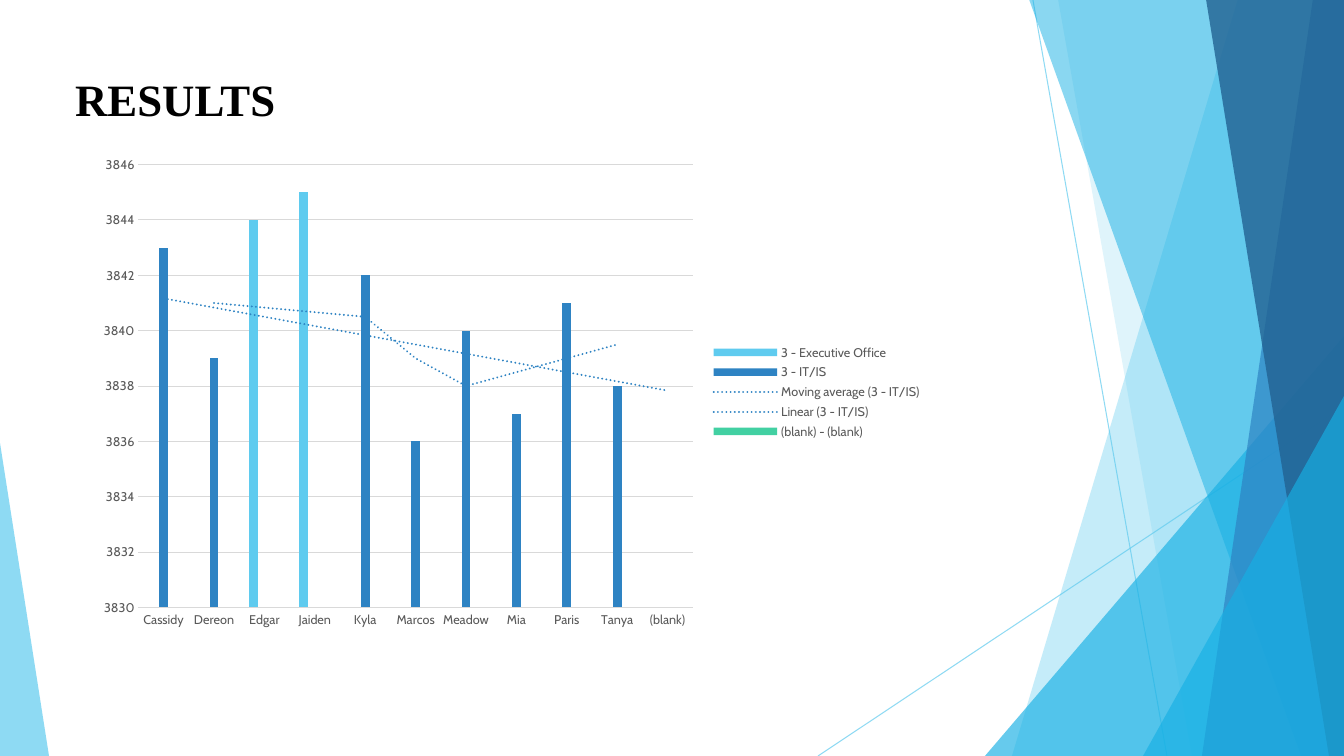
from lxml.etree import SubElement
from pptx import Presentation
from pptx.chart.data import CategoryChartData
from pptx.dml.color import RGBColor
from pptx.enum.chart import XL_CHART_TYPE, XL_LEGEND_POSITION, XL_TICK_MARK
from pptx.enum.shapes import MSO_CONNECTOR, MSO_SHAPE
from pptx.enum.text import MSO_ANCHOR, PP_ALIGN
from pptx.oxml import parse_xml
from pptx.oxml.ns import nsdecls, qn
from pptx.util import Pt

PX = 914400 / 100.8  # EMU in one px
WIDTH, HEIGHT = 1344, 756

BLACK = RGBColor(0x00, 0x00, 0x00)
SKY = RGBColor(0x5F, 0xCB, 0xEF)
CYAN = RGBColor(0x17, 0xB0, 0xE4)
BLUE = RGBColor(0x2E, 0x83, 0xC3)
NAVY = RGBColor(0x22, 0x62, 0x92)
GREEN = RGBColor(0x42, 0xD0, 0xA2)
LABEL_GRAY = RGBColor(0x59, 0x59, 0x59)
GRID_GRAY = RGBColor(0xD9, 0xD9, 0xD9)

NAMES = ["Cassidy", "Dereon", "Edgar", "Jaiden", "Kyla", "Marcos",
         "Meadow", "Mia", "Paris", "Tanya", "(blank)"]
SERIES = [
    ("3 - Executive Office", SKY, {"Edgar": 3844, "Jaiden": 3845}),
    ("3 - IT/IS", BLUE, {"Cassidy": 3843, "Dereon": 3839, "Kyla": 3842,
                         "Marcos": 3836, "Meadow": 3840, "Mia": 3837,
                         "Paris": 3841, "Tanya": 3838}),
    ("(blank) - (blank)", GREEN, {}),
]


def emu(*lengths):
    return [round(length * PX) for length in lengths]


def set_opacity(fill_format_parent, percent):
    color = fill_format_parent.find(".//" + qn("a:srgbClr"))
    SubElement(color, qn("a:alpha"), val=str(percent * 1000))


def paint(shape, color, opacity):
    shape.shadow.inherit = False
    shape.fill.solid()
    shape.fill.fore_color.rgb = color
    set_opacity(shape._element.spPr, opacity)
    shape.line.fill.background()


def add_thin_line(slide, *ends):
    line = slide.shapes.add_connector(MSO_CONNECTOR.STRAIGHT, *emu(*ends))
    line.line.color.rgb = SKY
    line.line.width = Pt(0.75)
    set_opacity(line._element.spPr, 70)
    SubElement(line._element.spPr, qn("a:effectLst"))


def add_panel(slide, top_left, bottom_left, color, opacity):
    """Full-height panel with a slanted left edge, ending at the slide's right."""
    builder = slide.shapes.build_freeform(top_left, -1, scale=PX)
    builder.add_line_segments(
        [(WIDTH, -1), (WIDTH, HEIGHT), (bottom_left, HEIGHT)], close=True)
    paint(builder.convert_to_shape(), color, opacity)


def add_triangle(slide, left, top, width, apex, color, opacity):
    """Triangle standing on the slide's bottom edge."""
    shape = slide.shapes.add_shape(
        MSO_SHAPE.ISOSCELES_TRIANGLE, *emu(left, top, width, HEIGHT - top))
    shape.adjustments[0] = apex
    paint(shape, color, opacity)


def add_decoration(slide):
    add_thin_line(slide, 1033, 0, 1167, HEIGHT)
    add_thin_line(slide, WIDTH, 406, 818, HEIGHT)
    add_panel(slide, 1238, 1012, SKY, 36)
    add_panel(slide, 1058, 1192, SKY, 20)
    add_triangle(slide, 985, 336, 359, 1, CYAN, 66)
    add_panel(slide, 1029, 1301, CYAN, 50)
    add_panel(slide, 1313, 1202, BLUE, 70)
    add_panel(slide, 1206, 1329, NAVY, 80)
    add_triangle(slide, 1143, 396, 201, 1, CYAN, 66)
    add_triangle(slide, 0, 443, 49, 0, SKY, 70)


def format_title(title):
    title.left, title.top, title.width, title.height = emu(65, 66, 765, 65)
    title.text_frame.text = "RESULTS"
    title.text_frame.vertical_anchor = MSO_ANCHOR.BOTTOM
    paragraph = title.text_frame.paragraphs[0]
    paragraph.alignment = PP_ALIGN.LEFT
    paragraph.font.name = "Times New Roman"
    paragraph.font.size = Pt(32)
    paragraph.font.bold = True
    paragraph.font.color.rgb = BLACK


def set_font(font, size, color):
    font.name = "Cabin"
    font.size = Pt(size)
    font.color.rgb = color


def add_trendline(series, kind, options):
    trendline = parse_xml(
        f'<c:trendline {nsdecls("c", "a")}><c:spPr><a:ln w="19050" cap="rnd">'
        f'<a:solidFill><a:srgbClr val="{BLUE}"/></a:solidFill>'
        f'<a:prstDash val="sysDot"/></a:ln></c:spPr>'
        f'<c:trendlineType val="{kind}"/>{options}'
        f'<c:dispRSqr val="0"/><c:dispEq val="0"/></c:trendline>')
    series._element.find(qn("c:cat")).addprevious(trendline)


def format_axis(axis):
    axis.major_tick_mark = axis.minor_tick_mark = XL_TICK_MARK.NONE
    set_font(axis.tick_labels.font, 9, LABEL_GRAY)


def add_results_chart(slide):
    data = CategoryChartData(number_format="General")
    data.categories = NAMES
    for name, _, values in SERIES:
        data.add_series(name, [values.get(person) for person in NAMES])
    chart = slide.shapes.add_chart(
        XL_CHART_TYPE.COLUMN_CLUSTERED, *emu(87, 147, 845, 490), data).chart
    chart.has_title = False
    set_font(chart.font, 10, BLACK)

    # Columns
    plot = chart.plots[0]
    plot.gap_width = 219
    plot.overlap = -27
    plot.vary_by_categories = False
    for series, (_, color, _) in zip(plot.series, SERIES):
        series.invert_if_negative = False
        series.format.fill.solid()
        series.format.fill.fore_color.rgb = color
    add_trendline(plot.series[1], "movingAvg", '<c:period val="2"/>')
    add_trendline(plot.series[1], "linear", "")

    # Axes
    format_axis(chart.category_axis)
    format_axis(chart.value_axis)
    value_axis = chart.value_axis
    value_axis.minimum_scale = 3830
    value_axis.maximum_scale = 3846
    value_axis.major_unit = 2
    value_axis.format.line.fill.background()
    value_axis.has_major_gridlines = True
    for lines in (chart.category_axis, value_axis.major_gridlines):
        lines.format.line.color.rgb = GRID_GRAY
        lines.format.line.width = Pt(0.75)

    # Legend
    chart.has_legend = True
    chart.legend.position = XL_LEGEND_POSITION.RIGHT
    chart.legend.include_in_layout = False
    set_font(chart.legend.font, 9, LABEL_GRAY)


def main():
    presentation = Presentation()
    presentation.slide_width, presentation.slide_height = emu(WIDTH, HEIGHT)
    slide = presentation.slides.add_slide(presentation.slide_layouts[5])
    add_decoration(slide)
    format_title(slide.shapes.title)
    add_results_chart(slide)
    presentation.save("out.pptx")


if __name__ == "__main__":
    main()
